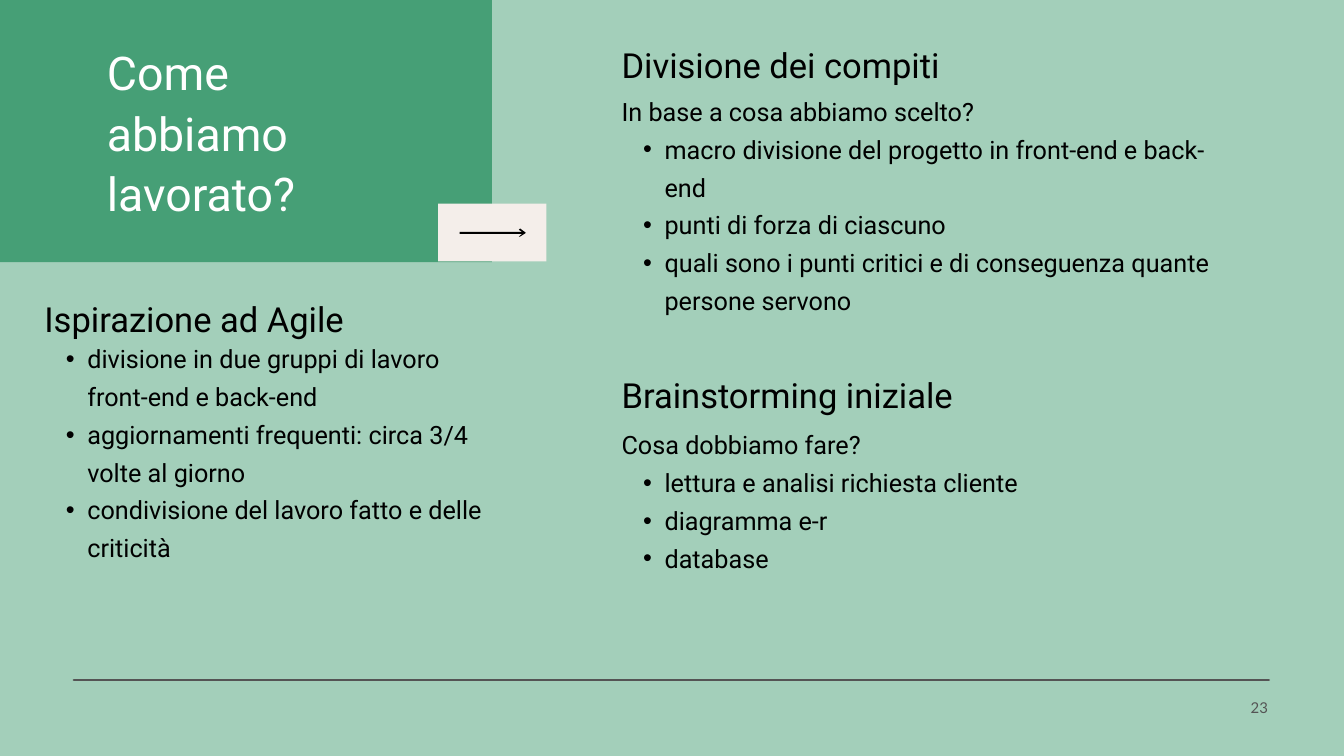
from dataclasses import dataclass

from lxml.etree import SubElement
from pptx import Presentation
from pptx.dml.color import RGBColor as RGB
from pptx.enum.shapes import MSO_CONNECTOR as LINE, MSO_SHAPE as SHAPE
from pptx.enum.text import MSO_AUTO_SIZE as FIT, PP_ALIGN as ALIGN
from pptx.oxml.ns import qn
from pptx.util import Inches, Pt


@dataclass(frozen=True)
class Theme:
    page: RGB = RGB.from_string("A3CFBA")
    panel: RGB = RGB.from_string("469F76")
    tag: RGB = RGB.from_string("F4EEEA")
    ink: RGB = RGB.from_string("000000")
    white: RGB = RGB.from_string("FFFFFF")
    grey: RGB = RGB.from_string("545454")
    font: str = "Roboto"
    number_font: str = "Lato"
    # each type style is (size, line height) in points
    title: tuple = (49.8, 64.7)
    heading: tuple = (37, 48.1)
    body: tuple = (27, 40.5)
    number: tuple = (16, 22.4)


theme = Theme()
deck = Presentation()
deck.slide_width, deck.slide_height = Inches(20), Inches(11.25)
COL, ROW = deck.slide_width / 100, deck.slide_height / 100
slide = deck.slides.add_slide(deck.slide_layouts[6])
slide.background.fill.solid()
slide.background.fill.fore_color.rgb = theme.page


def cells(left, top, width, height):
    """Turn a place on the 100 by 100 grid into slide lengths."""
    return [round(n * unit) for n, unit in zip((left, top, width, height), (COL, ROW) * 2)]


def write(place, *, lead=(), bullets=(), style=theme.body, color=theme.ink,
          font=theme.font, align=ALIGN.LEFT, tracking=None):
    """Add a text box with plain lead lines followed by bulleted lines."""
    frame = slide.shapes.add_textbox(*cells(*place)).text_frame
    frame.word_wrap = True
    frame.auto_size = FIT.SHAPE_TO_FIT_TEXT
    frame.margin_left = frame.margin_right = frame.margin_top = frame.margin_bottom = 0
    size, leading = style
    lines = [(text, False) for text in lead] + [(text, True) for text in bullets]
    for i, (text, bulleted) in enumerate(lines):
        para = frame.add_paragraph() if i else frame.paragraphs[0]
        para.alignment = align
        para.line_spacing = Pt(leading)
        if bulleted:
            para.level = 1
            props = para._p.get_or_add_pPr()
            props.set("marL", str(round(3.2 * COL)))
            props.set("indent", str(round(-1.6 * COL)))
            SubElement(props, qn("a:buFont")).set("typeface", "Arial")
            SubElement(props, qn("a:buChar")).set("char", "•")
        run = para.add_run()
        run.text = text
        run.font.size, run.font.name = Pt(size), font
        run.font.color.rgb = color
        if tracking:
            run._r.get_or_add_rPr().set("spc", str(round(tracking * 100)))


# Title panel, with the arrow tag on its lower right corner
title_panel = slide.shapes.add_shape(SHAPE.RECTANGLE, *cells(0, 0, 36.6, 34.67))
arrow_tag = slide.shapes.add_shape(SHAPE.RECTANGLE, *cells(32.6, 26.93, 8.05, 7.64))

# Upper half of the arrow as (x, distance from its axis), in 1/20 of a column
AXIS = 346.5
upper = [(782, 0.5), (774, 6), (772.5, 5), (777, 1.5), (684, 1.5)]
outline = ([(x, AXIS - d) for x, d in upper]
           + [(x, AXIS + d) for x, d in reversed(upper)])
pen = slide.shapes.build_freeform(*outline[0], scale=COL / 20)
pen.add_line_segments(outline[1:], close=True)
arrow = pen.convert_to_shape()

for part, color in ((title_panel, theme.panel), (arrow_tag, theme.tag), (arrow, theme.ink)):
    part.fill.solid()
    part.fill.fore_color.rgb = color
    part.line.fill.background()
    part.shadow.inherit = False

write((7.95, 5.24, 22.15, 23.73), lead=["Come abbiamo lavorato?"],
      style=theme.title, color=theme.white)

# Sections: left, heading top, heading width, body top, body width, body height
sections = [
    ((46.25, 5.33, 40.2, 11.73, 45.65, 34.31), "Divisione dei compiti",
     ["In base a cosa abbiamo scelto?"],
     ["macro divisione del progetto in front-end e back-end",
      "punti di forza di ciascuno",
      "quali sono i punti critici e di conseguenza quante persone servono"]),
    ((46.25, 49.07, 40.2, 55.82, 45.65, 19.56), "Brainstorming iniziale",
     ["Cosa dobbiamo fare?"],
     ["lettura e analisi richiesta cliente", "diagramma e-r", "database"]),
    ((3.3, 38.93, 31.45, 44.44, 34.35, 29.96), "Ispirazione ad Agile",
     [],
     ["divisione in due gruppi di lavoro front-end e back-end",
      "aggiornamenti frequenti: circa 3/4 volte al giorno",
      "condivisione del lavoro fatto e delle criticità"]),
]
for (left, top, width, body_top, body_width, body_height), heading, lead, bullets in sections:
    write((left, top, width, 5.87), lead=[heading], style=theme.heading)
    write((left, body_top, body_width, body_height), lead=lead, bullets=bullets)

# Footer rule and page number
footer_rule = slide.shapes.add_connector(LINE.STRAIGHT, *cells(5.5, 89.96, 94.4, 89.96))
footer_rule.line.color.rgb = theme.grey
footer_rule.line.width = Pt(3)
footer_rule.line._get_or_add_ln().set("cap", "rnd")
SubElement(footer_rule._element.spPr, qn("a:effectLst"))
write((89.45, 92, 4.9, 2.58), lead=["23"], style=theme.number, color=theme.grey,
      font=theme.number_font, align=ALIGN.RIGHT, tracking=0.2)

deck.save("out.pptx")
